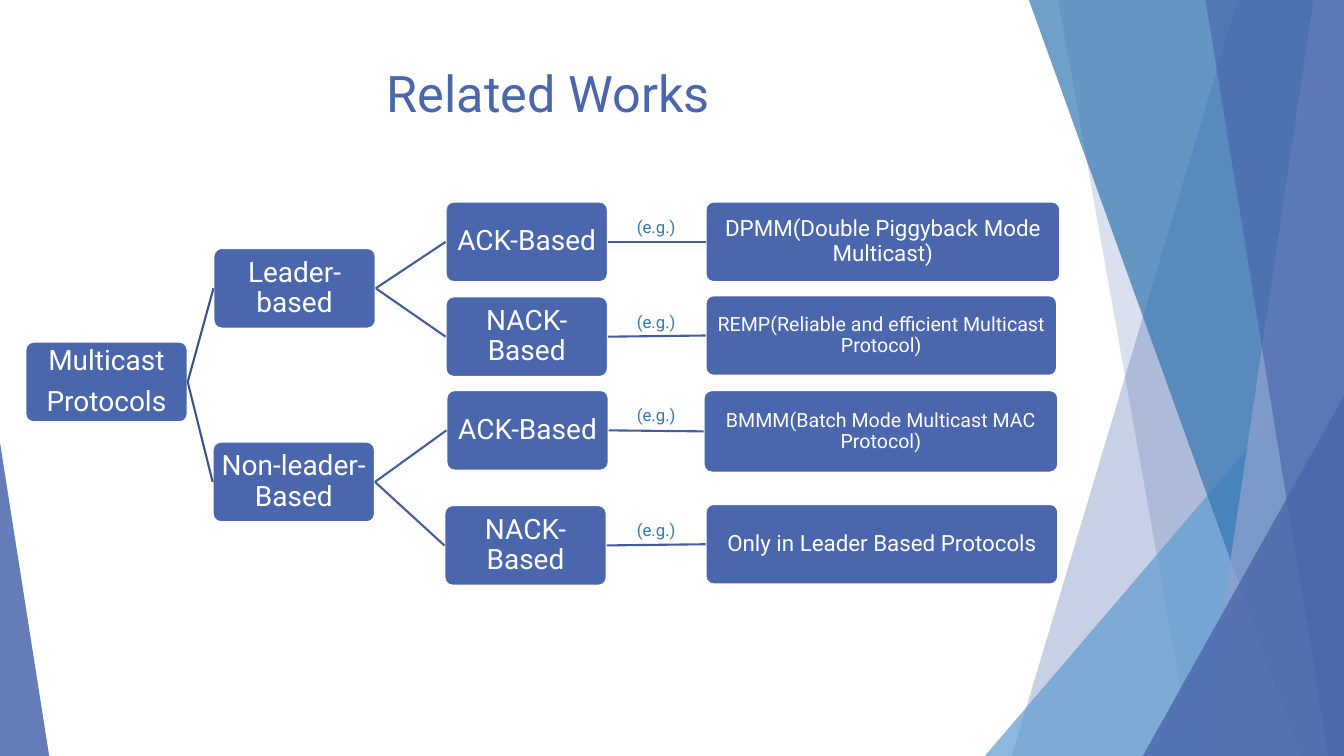
"""Build the slide that classifies multicast protocols as a tree."""
from dataclasses import dataclass
from typing import Optional

from lxml.etree import SubElement
from pptx import Presentation
from pptx.dml.color import RGBColor
from pptx.enum.shapes import MSO_CONNECTOR as Connector, MSO_SHAPE as Preset
from pptx.enum.text import MSO_ANCHOR as Anchor, PP_ALIGN as Align
from pptx.oxml.ns import qn
from pptx.util import Cm, Pt

COLOURS = {
    "blue": "4A66AC",
    "pale": "90A2CF",
    "sky": "629DD1",
    "deep": "3477B2",
    "trunk": "3B528A",
    "branch": "435D9C",
    "white": "FFFFFF",
}
FONT = "Roboto"
WIDTH, HEIGHT = 33.87, 19.05
LEFT_SITE, RIGHT_SITE = 1, 3


@dataclass(frozen=True)
class Facet:
    """A translucent band reaching the right edge, given by its slanted left side."""
    top_x: float
    bottom_x: float
    colour: str
    opacity: int


@dataclass(frozen=True)
class Corner:
    """A translucent right triangle standing on the bottom edge."""
    left: float
    top: float
    width: float
    apex: int
    colour: str
    opacity: int


@dataclass(frozen=True)
class Node:
    """A box of the tree, with the key of its parent."""
    key: str
    parent: Optional[str]
    lines: tuple[str, ...]
    left: float
    top: float
    width: float = 4.09
    height: float = 2.03
    size: int = 20
    edge: str = "branch"
    example: bool = False


DECORATION = (
    Facet(31.19, 25.5, "blue", 30),
    Facet(26.67, 30.05, "blue", 20),
    Corner(24.82, 8.46, 9.05, 1, "sky", 72),
    Facet(25.93, 32.79, "deep", 70),
    Facet(33.1, 30.28, "pale", 70),
    Facet(30.38, 33.48, "blue", 65),
    Corner(28.8, 9.98, 5.07, 1, "blue", 80),
    Corner(0, 11.15, 1.24, 0, "blue", 85),
)
NODES = (
    Node("root", None, ("Multicast", "Protocols"), 0.64, 8.61),
    Node("leader", "root", ("Leader-based",), 5.38, 6.25, edge="trunk"),
    Node("leader ack", "leader", ("ACK-Based",), 11.23, 5.08),
    Node("dpmm", "leader ack", ("DPMM(Double Piggyback Mode Multicast)",),
         17.78, 5.08, 8.94, size=16, example=True),
    Node("leader nack", "leader", ("NACK-Based",), 11.23, 7.47),
    Node("remp", "leader nack", ("REMP(Reliable and efficient Multicast Protocol)",),
         17.78, 7.44, 8.86, size=14, example=True),
    Node("other", "root", ("Non-leader-Based",), 5.36, 11.13, edge="trunk"),
    Node("other ack", "other", ("ACK-Based",), 11.25, 9.83),
    Node("bmmm", "other ack", ("BMMM(Batch Mode Multicast MAC Protocol)",),
         17.73, 9.83, 8.94, 2.08, size=14, example=True),
    Node("other nack", "other", ("NACK-Based",), 11.2, 12.73),
    Node("none", "other nack", ("Only in Leader Based Protocols",),
         17.78, 12.7, 8.89, size=16, example=True),
)


def rgb(name: str) -> RGBColor:
    """Return a named colour."""
    return RGBColor.from_string(COLOURS[name])


def write(paragraph, text: str, size: int, colour: str) -> None:
    """Add one formatted run to a paragraph."""
    run = paragraph.add_run()
    run.text = text
    run.font.name = FONT
    run.font.size = Pt(size)
    run.font.color.rgb = rgb(colour)


def paint(shape, colour: str, opacity: int) -> None:
    """Give a shape a translucent fill and no outline."""
    shape.shadow.inherit = False
    shape.line.fill.background()
    shape.fill.solid()
    shape.fill.fore_color.rgb = rgb(colour)
    fill_colour = shape.element.spPr.find(qn("a:solidFill")).find(qn("a:srgbClr"))
    SubElement(fill_colour, qn("a:alpha"), val=str(opacity * 1000))


def draw_facet(slide, facet: Facet) -> None:
    """Draw one slanted band over the full slide height."""
    builder = slide.shapes.build_freeform(Cm(facet.top_x), 0)
    builder.add_line_segments([
        (Cm(WIDTH), 0),
        (Cm(WIDTH), Cm(HEIGHT)),
        (Cm(facet.bottom_x), Cm(HEIGHT)),
    ])
    paint(builder.convert_to_shape(), facet.colour, facet.opacity)


def draw_corner(slide, corner: Corner) -> None:
    """Draw one triangle down to the bottom edge."""
    shape = slide.shapes.add_shape(
        Preset.ISOSCELES_TRIANGLE, Cm(corner.left), Cm(corner.top),
        Cm(corner.width), Cm(HEIGHT - corner.top))
    shape.adjustments[0] = corner.apex
    paint(shape, corner.colour, corner.opacity)


def draw_title(slide, text: str) -> None:
    """Place and format the title placeholder."""
    title = slide.shapes.title
    title.left, title.top = Cm(1.88), Cm(1.45)
    title.width, title.height = Cm(23.88), Cm(3.66)
    title.text_frame.vertical_anchor = Anchor.TOP
    paragraph = title.text_frame.paragraphs[0]
    paragraph.alignment = Align.CENTER
    write(paragraph, text, 36, "blue")


def draw_node(slide, node: Node):
    """Draw a rounded box with its text and return it."""
    shape = slide.shapes.add_shape(
        Preset.ROUNDED_RECTANGLE, Cm(node.left), Cm(node.top),
        Cm(node.width), Cm(node.height))
    shape.adjustments[0] = 0.1
    shape.shadow.inherit = False
    shape.fill.solid()
    shape.fill.fore_color.rgb = rgb("blue")
    shape.line.color.rgb = rgb("white")
    shape.line.width = Pt(1.5)
    frame = shape.text_frame
    frame.word_wrap = True
    frame.vertical_anchor = Anchor.MIDDLE
    frame.margin_left = frame.margin_right = Cm(0.09)
    frame.margin_top = frame.margin_bottom = Cm(0.09)
    for index, line in enumerate(node.lines):
        paragraph = frame.add_paragraph() if index else frame.paragraphs[0]
        paragraph.alignment = Align.CENTER
        paragraph.line_spacing = 0.9
        paragraph.space_after = Pt(node.size * 0.35)
        write(paragraph, line, node.size, "white")
    return shape


def draw_edge(slide, parent, child, colour: str) -> None:
    """Join the right side of a parent to the left side of its child."""
    connector = slide.shapes.add_connector(Connector.STRAIGHT, 0, 0, 0, 0)
    connector.begin_connect(parent, RIGHT_SITE)
    connector.end_connect(child, LEFT_SITE)
    connector.line.color.rgb = rgb(colour)
    connector.line.width = Pt(1.5)
    SubElement(connector.element.spPr, qn("a:effectLst"))


def draw_example_label(slide, parent) -> None:
    """Write the example mark above the edge that leaves a parent."""
    label = slide.shapes.add_textbox(
        Cm(15.8), parent.top + Cm(0.25), Cm(1.73), Cm(0.76))
    label.text_frame.word_wrap = True
    write(label.text_frame.paragraphs[0], "(e.g.)", 12, "deep")


def main() -> None:
    """Build and save the presentation."""
    presentation = Presentation()
    presentation.slide_width, presentation.slide_height = Cm(WIDTH), Cm(HEIGHT)
    slide = presentation.slides.add_slide(presentation.slide_layouts[5])
    for part in DECORATION:
        draw = draw_facet if isinstance(part, Facet) else draw_corner
        draw(slide, part)
    draw_title(slide, "Related Works")
    boxes = {}
    for node in NODES:
        boxes[node.key] = draw_node(slide, node)
        if node.parent:
            draw_edge(slide, boxes[node.parent], boxes[node.key], node.edge)
        if node.example:
            draw_example_label(slide, boxes[node.parent])
    presentation.save("out.pptx")


if __name__ == "__main__":
    main()
